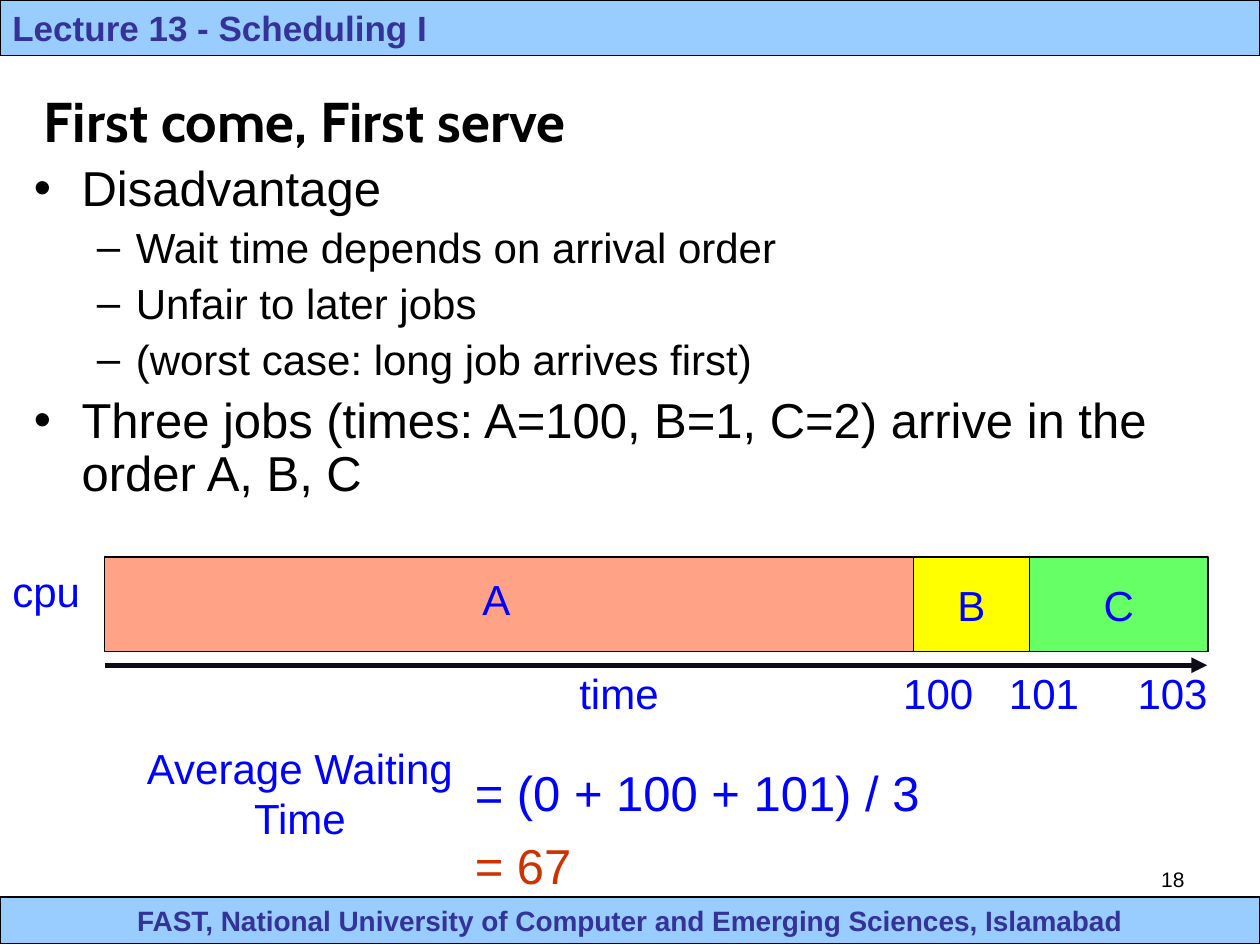
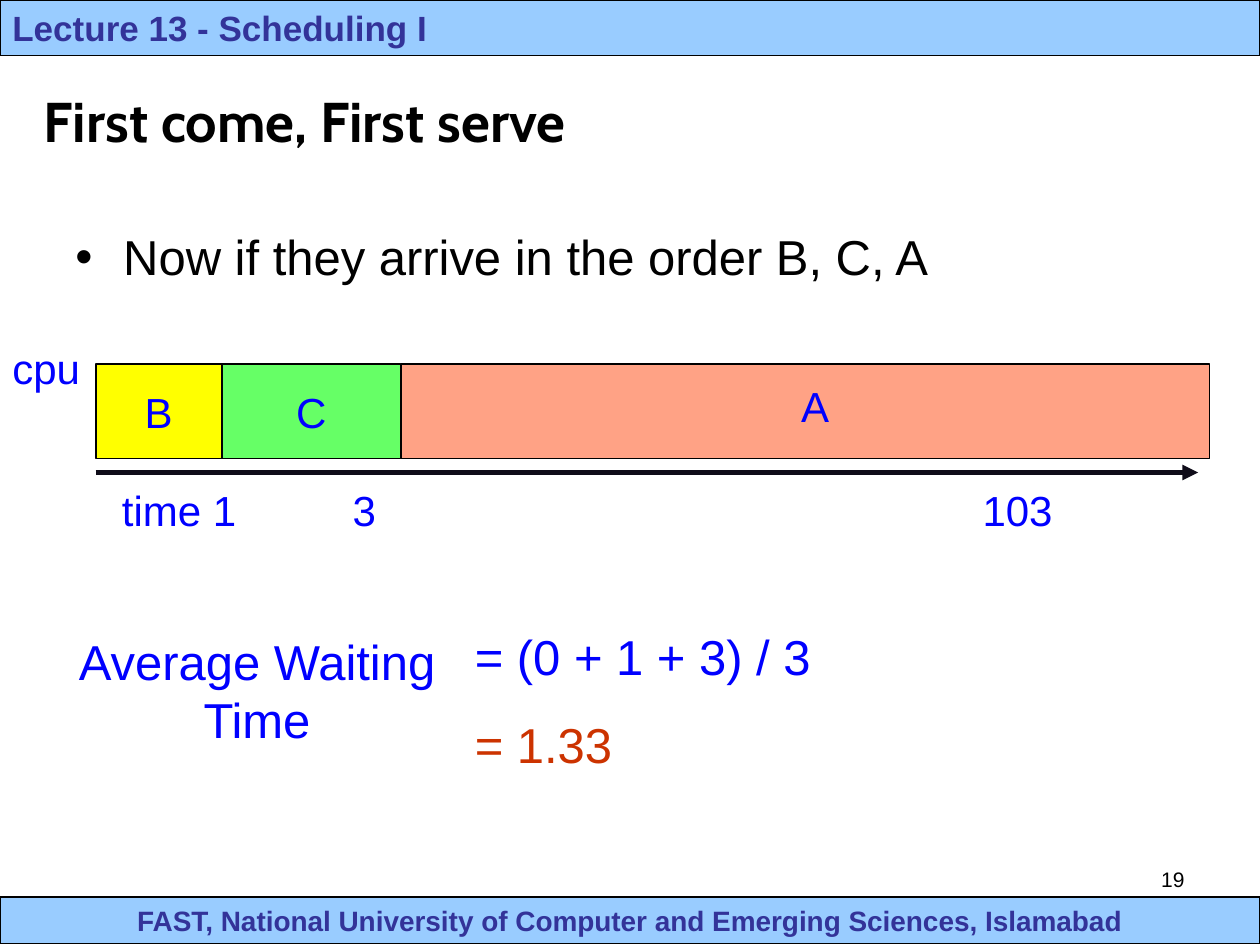
from lxml.etree import SubElement
from pptx import Presentation
from pptx.dml.color import RGBColor
from pptx.enum.shapes import MSO_CONNECTOR, MSO_SHAPE
from pptx.enum.text import MSO_ANCHOR, PP_ALIGN
from pptx.oxml.ns import qn
from pptx.util import Inches, Pt

BLACK, BLUE, NAVY, RED = "000000", "0000FF", "333399", "CC3300"
BAND, ARROW = "99CCFF", "0F0C19"
JOB_COLOURS = {"A": "FFA285", "B": "FFFF00", "C": "66FF66"}
BODY_FONT, TITLE_FONT = "Arial", "Cabin"
LEFT, CENTRE, RIGHT = PP_ALIGN.LEFT, PP_ALIGN.CENTER, PP_ALIGN.RIGHT

LECTURE = "Lecture 13 - Scheduling I"
SCHOOL = "FAST, National University of Computer and Emerging Sciences, Islamabad"
TITLE = "First come, First serve"
BAR_HEIGHT, ARROW_DROP, ARROW_LENGTH = 0.75, 0.86, 8.75

# Bullet levels: sign, left margin, hanging indent, size, space before
LEVELS = [("•", 0.38, 0.38, 28, 7), ("–", 0.81, 0.31, 24, 6)]

# Boxes are (left, top, width, height) in inches; tabs are inches from the text edge.
SLIDES = [
    {
        "number": "18",
        "bullets": [
            (0, "Disadvantage"),
            (1, "Wait time depends on arrival order"),
            (1, "Unfair to later jobs"),
            (1, "(worst case: long job arrives first)"),
            (0, "Three jobs (times: A=100, B=1, C=2) arrive in the order A, B, C"),
        ],
        "bullet_box": (0.17, 1.25, 9.83, 3.42),
        "line_spacing": 0.9,
        "bar_start": (0.83, 4.42),
        "jobs": [("A", 6.42), ("B", 0.92), ("C", 1.42)],
        "long_job_label_left": 3.73,
        "cpu_top": 4.44,
        "times": "time\t100\t101\t103",
        "times_box": (4.5, 5.25, 5.5, 0.5),
        "times_tabs": [2.57, 3.41, 4.43],
        "average_box": (0.67, 5.84, 3.42, 0.9),
        "average_size": 24,
        "sums": [("= (0 + 100 + 101) / 3", 6.0, BLUE), ("= 67", 6.58, RED)],
    },
    {
        "number": "19",
        "bullets": [(0, "Now if they arrive in the order B, C, A")],
        "bullet_box": (0.5, 1.75, 9, 4.95),
        "line_spacing": 1.0,
        "bar_start": (0.76, 2.89),
        "jobs": [("B", 1.0), ("C", 1.42), ("A", 6.42)],
        "long_job_label_left": 6.26,
        "cpu_top": 2.67,
        "times": "time 1\t3\t103",
        "times_box": (0.87, 3.8, 8.7, 0.5),
        "times_tabs": [1.83, 6.83],
        "average_box": (0.33, 4.96, 3.42, 1.04),
        "average_size": 28,
        "sums": [("= (0 + 1 + 3) / 3", 4.92, BLUE), ("= 1.33", 5.62, RED)],
    },
]


def colour(code):
    return RGBColor.from_string(code)


def inches(box):
    return [Inches(length) for length in box]


def add_span(para, text, size, code, bold=False, font=BODY_FONT):
    span = para.add_run()
    span.text = text
    span.font.size = Pt(size)
    span.font.name = font
    span.font.bold = bold
    span.font.color.rgb = colour(code)


def add_text(page, box, text, size=24, code=BLUE, align=LEFT, wrap=True,
             anchor=MSO_ANCHOR.TOP, tabs=(), **style):
    frame = page.shapes.add_textbox(*inches(box)).text_frame
    frame.word_wrap = wrap
    frame.vertical_anchor = anchor
    para = frame.paragraphs[0]
    para.alignment = align
    if tabs:
        stops = SubElement(para._p.get_or_add_pPr(), qn("a:tabLst"))
        for tab in tabs:
            SubElement(stops, qn("a:tab"), pos=str(Inches(tab)), algn="l")
    for index, part in enumerate(text.split("\t")):
        add_span(para, "\t" + part if index else part, size, code, **style)


def add_bar(page, box, fill, line_width, text="", size=24, code=BLUE,
            align=CENTRE, wrap=False, bold=False):
    """Add an outlined rectangle with its text in the middle of its height."""
    bar = page.shapes.add_shape(MSO_SHAPE.RECTANGLE, *inches(box))
    bar.shadow.inherit = False
    bar.fill.solid()
    bar.fill.fore_color.rgb = colour(fill)
    bar.line.color.rgb = colour(BLACK)
    bar.line.width = Pt(line_width)
    if text:
        frame = bar.text_frame
        frame.word_wrap = wrap
        frame.vertical_anchor = MSO_ANCHOR.MIDDLE
        para = frame.paragraphs[0]
        para.alignment = align
        add_span(para, text, size, code, bold)


def add_bullets(page, box, bullets, line_spacing):
    frame = page.shapes.add_textbox(*inches(box)).text_frame
    frame.word_wrap = True
    for index, (level, text) in enumerate(bullets):
        sign, margin, hanging, size, space = LEVELS[level]
        para = frame.add_paragraph() if index else frame.paragraphs[0]
        para.level = level
        para.line_spacing = line_spacing
        if index:
            para.space_before = Pt(space)
        properties = para._p.get_or_add_pPr()
        properties.set("marL", str(Inches(margin)))
        properties.set("indent", str(-Inches(hanging)))
        bullet_colour = SubElement(properties, qn("a:buClr"))
        SubElement(bullet_colour, qn("a:srgbClr"), val=BLACK)
        SubElement(properties, qn("a:buFont"), typeface=BODY_FONT)
        SubElement(properties, qn("a:buChar"), char=sign)
        add_span(para, text, size, BLACK)


def add_time_arrow(page, left, top):
    arrow = page.shapes.add_connector(
        MSO_CONNECTOR.STRAIGHT, *inches((left, top, left + ARROW_LENGTH, top)))
    arrow.line.color.rgb = colour(ARROW)
    arrow.line.width = Pt(3)
    SubElement(arrow.line._get_or_add_ln(), qn("a:tailEnd"), type="triangle")
    SubElement(arrow._element.spPr, qn("a:effectLst"))


def add_frame(page, number):
    """Add the bands, page number and title that every slide shares."""
    add_bar(page, (0, 7.12, 10, 0.37), BAND, 0.75, SCHOOL, 16, NAVY,
            wrap=True, bold=True)
    add_bar(page, (0, 0, 10, 0.44), BAND, 0.75, LECTURE, 20, NAVY,
            align=LEFT, wrap=True, bold=True)
    add_text(page, (7.17, 6.83, 2.33, 0.52), number, 12, BLACK, RIGHT)
    add_text(page, (0.25, 0.58, 9, 0.75), TITLE, 32, BLACK,
             anchor=MSO_ANCHOR.MIDDLE, bold=True, font=TITLE_FONT)


def add_schedule(page, content):
    left, top = content["bar_start"]
    add_text(page, (0, content["cpu_top"], 0.74, 0.5), "cpu", wrap=False)
    add_text(page, content["times_box"], content["times"],
             tabs=content["times_tabs"])
    add_time_arrow(page, left, top + ARROW_DROP)
    for job, width in content["jobs"]:
        is_long = job == "A"
        add_bar(page, (left, top, width, BAR_HEIGHT), JOB_COLOURS[job], 1,
                "" if is_long else job)
        if is_long:
            add_text(page, (content["long_job_label_left"], top + 0.08, 0.5, 0.5), job)
        left += width


def add_average(page, content):
    add_text(page, content["average_box"], "Average Waiting Time",
             content["average_size"], align=CENTRE)
    for text, top, code in content["sums"]:
        add_text(page, (3.67, top, 4.83, 0.57), text, 28, code)


def main():
    deck = Presentation()
    deck.slide_width, deck.slide_height = Inches(10), Inches(7.5)
    for content in SLIDES:
        page = deck.slides.add_slide(deck.slide_layouts[6])
        add_frame(page, content["number"])
        add_bullets(page, content["bullet_box"], content["bullets"],
                    content["line_spacing"])
        add_schedule(page, content)
        add_average(page, content)
    deck.save("out.pptx")


if __name__ == "__main__":
    main()
